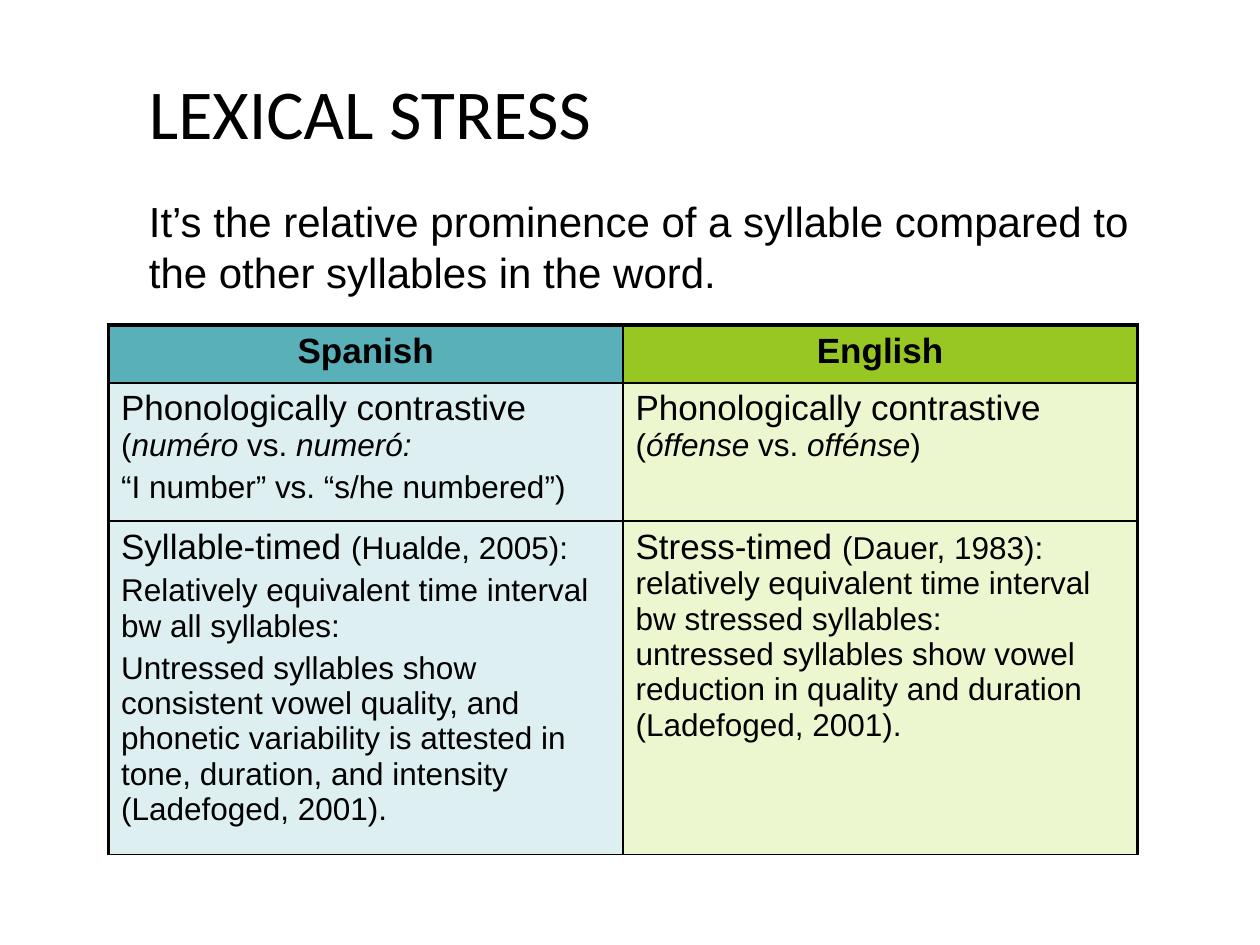
from lxml import etree
from pptx import Presentation
from pptx.dml.color import RGBColor
from pptx.enum.text import MSO_AUTO_SIZE, PP_ALIGN
from pptx.oxml.ns import qn
from pptx.util import Pt

BLACK = RGBColor(0x00, 0x00, 0x00)
TEAL = RGBColor(0x59, 0xB0, 0xB9)
GREEN = RGBColor(0x98, 0xC7, 0x23)
PALE_TEAL = RGBColor(0xDE, 0xEF, 0xF1)
PALE_GREEN = RGBColor(0xEC, 0xF7, 0xD0)
CENTER = PP_ALIGN.CENTER
FIT = MSO_AUTO_SIZE.SHAPE_TO_FIT_TEXT

BIG, SMALL = 20, 18
THIN, THICK = 1, 2.25
BREAK = None

TITLE = "LEXICAL STRESS"
LEAD = ("It’s the relative prominence of a syllable compared to "
        "the other syllables in the word.")
HEADS = [("Spanish", TEAL), ("English", GREEN)]
FILLS = [PALE_TEAL, PALE_GREEN]
BODY = [
    [
        [[("Phonologically contrastive ", BIG), ("(", SMALL),
          ("numéro", SMALL, True), (" vs. ", SMALL), ("numeró:", SMALL, True)],
         [("“I number” vs. “s/he numbered”)", SMALL)]],
        [[("Phonologically contrastive ", BIG), ("(", SMALL),
          ("óffense", SMALL, True), (" vs. ", SMALL),
          ("offénse", SMALL, True), (")", SMALL)]],
    ],
    [
        [[("Syllable-timed ", BIG), ("(Hualde, 2005):", SMALL)],
         [("Relatively equivalent time interval bw all syllables:", SMALL)],
         [("Untressed syllables show consistent vowel quality, and phonetic "
           "variability is attested in tone, duration, and intensity "
           "(Ladefoged, 2001).", SMALL)]],
        [[("Stress-timed ", BIG),
          ("(Dauer, 1983): relatively equivalent time interval "
           "bw stressed syllables:", SMALL),
          BREAK,
          ("untressed syllables show vowel reduction in quality and duration "
           "(Ladefoged, 2001).", SMALL)]],
    ],
]


def style(font, size, name="Arial"):
    font.name = name
    font.size = Pt(size)
    font.color.rgb = BLACK


def edge(cell, sides):
    props = cell._tc.get_or_add_tcPr()
    for side, width in sides.items():
        line = etree.SubElement(props, qn("a:ln" + side), w=str(Pt(width)))
        fill = etree.SubElement(line, qn("a:solidFill"))
        etree.SubElement(fill, qn("a:srgbClr"), val=str(BLACK))


def paint(cell, color):
    cell.fill.solid()
    cell.fill.fore_color.rgb = color


def write(cell, paras):
    frame = cell.text_frame
    for i, parts in enumerate(paras):
        para = frame.add_paragraph() if i else frame.paragraphs[0]
        if i:
            para.space_before = Pt(4)
        style(para.font, SMALL)
        for part in parts:
            if part is BREAK:
                para.add_line_break()
                continue
            text, size, *slant = part
            run = para.add_run()
            run.text = text
            style(run.font, size)
            if slant:
                run.font.italic = True


def add_intro(slide, left, top, width, height):
    box = slide.shapes.add_textbox(Pt(left), Pt(top), Pt(width), Pt(height))
    frame = box.text_frame
    frame.word_wrap = True
    frame.auto_size = FIT
    title = frame.paragraphs[0]
    title.text = TITLE
    style(title.font, 40, "Calibri")
    lead = frame.add_paragraph()
    lead.text = LEAD
    lead.space_before = Pt(24.4)
    style(lead.font, 24)


def add_grid(slide, left, top, width, heights):
    count = len(HEADS)
    table = slide.shapes.add_table(
        len(heights), count, Pt(left), Pt(top), Pt(width), Pt(sum(heights))
    ).table
    for col in table.columns:
        col.width = Pt(width / count)
    for r, height in enumerate(heights):
        table.rows[r].height = Pt(height)
        for c in range(count):
            cell = table.cell(r, c)
            edge(cell, {
                "L": THIN if c else THICK,
                "R": THICK if c == count - 1 else THIN,
                "T": THIN if r else THICK,
                "B": THIN,
            })
            if r:
                paint(cell, FILLS[c])
                write(cell, BODY[r - 1][c])
            else:
                text, color = HEADS[c]
                paint(cell, color)
                para = cell.text_frame.paragraphs[0]
                para.text = text
                para.alignment = CENTER
                style(para.font, BIG)
                para.font.bold = True


def main():
    deck = Presentation()
    deck.slide_width, deck.slide_height = Pt(720), Pt(540)
    slide = deck.slides.add_slide(deck.slide_layouts[6])
    add_intro(slide, 78, 36, 612, 216)
    add_grid(slide, 62, 185.75, 588, [33, 79, 190])
    deck.save("out.pptx")


if __name__ == "__main__":
    main()
